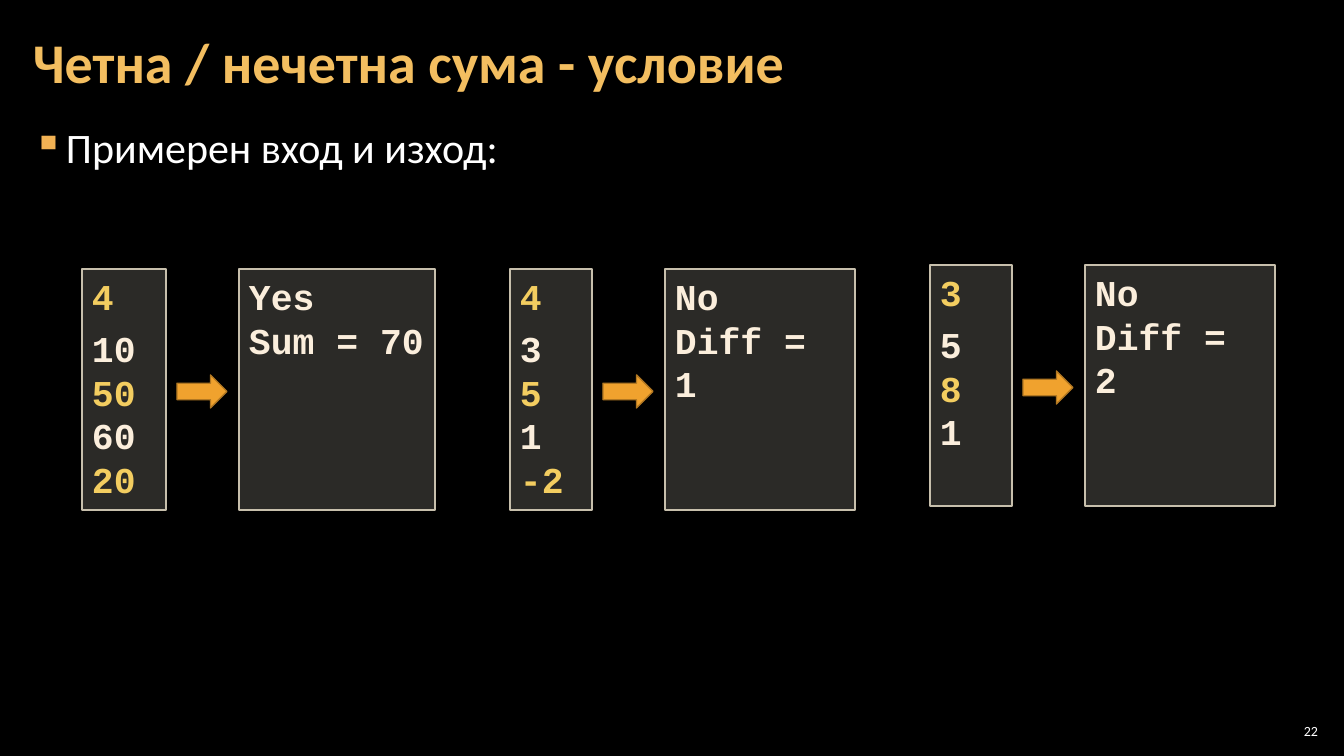
from lxml import etree
from pptx import Presentation
from pptx.dml.color import RGBColor
from pptx.enum.shapes import MSO_SHAPE
from pptx.enum.text import MSO_ANCHOR, PP_ALIGN
from pptx.oxml import parse_xml
from pptx.oxml.ns import nsdecls, qn
from pptx.util import Pt

RECTANGLE, RIGHT_ARROW = MSO_SHAPE.RECTANGLE, MSO_SHAPE.RIGHT_ARROW
TOP, MIDDLE = MSO_ANCHOR.TOP, MSO_ANCHOR.MIDDLE
LEFT, RIGHT = PP_ALIGN.LEFT, PP_ALIGN.RIGHT

BLACK = RGBColor(0x00, 0x00, 0x00)
WHITE = RGBColor(0xFF, 0xFF, 0xFF)
TITLE_GOLD = RGBColor(0xF3, 0xBE, 0x60)
BULLET_GOLD = RGBColor(0xF2, 0xB2, 0x54)
CODE_GOLD = RGBColor(0xF3, 0xCD, 0x60)
CODE_CREAM = RGBColor(0xFB, 0xEE, 0xDC)
BOX_FILL = RGBColor(0xD9, 0xD5, 0xC7)
BOX_LINE = RGBColor(0xC7, 0xBF, 0xAC)
ARROW_FILL = RGBColor(0xF0, 0xA2, 0x2E)
ARROW_LINE = RGBColor(0xB2, 0x78, 0x22)

# Content
TITLE = "Четна / нечетна сума - условие"
BULLET = "Примерен вход и изход:"
PAGE_NUMBER = "22"
EXAMPLES = [
    {"left": 82, "top": 269, "input_width": 84, "output_width": 196,
     "input": ["4", "10", "50", "60", "20"], "output": ["Yes", "Sum = 70"]},
    {"left": 510, "top": 269, "input_width": 82, "output_width": 190,
     "input": ["4", "3", "5", "1", "-2"], "output": ["No", "Diff = 1"]},
    {"left": 930, "top": 265, "input_width": 82, "output_width": 190,
     "input": ["3", "5", "8", "1"], "output": ["No", "Diff = 2"]},
]

# Layout in px
SLIDE_WIDTH, SLIDE_HEIGHT = 1344, 756
BOX_HEIGHT = 241
ARROW_WIDTH, ARROW_HEIGHT = 50, 33
ARROW_GAP, OUTPUT_GAP = 11, 73
EMU_PER_PX = 914400 / 100.8


def px(length):
    return round(length * EMU_PER_PX)


def write_text(shape, lines, colors, size, font="Calibri", bold=False,
               align=LEFT, anchor=TOP, insets=(10, 5), second_space=0,
               line_spacing=None):
    frame = shape.text_frame
    frame.word_wrap = True
    frame.vertical_anchor = anchor
    frame.margin_left = frame.margin_right = px(insets[0])
    frame.margin_top = frame.margin_bottom = px(insets[1])
    for index, line in enumerate(lines):
        paragraph = frame.add_paragraph() if index else frame.paragraphs[0]
        paragraph.alignment = align
        if line_spacing:
            paragraph.line_spacing = line_spacing
        if index == 1 and second_space:
            paragraph.space_before = Pt(second_space)
        run = paragraph.add_run()
        run.text = line
        run.font.name = font
        run.font.size = Pt(size)
        run.font.bold = bold
        run.font.color.rgb = colors[index % len(colors)]


def add_text_box(left, top, width, height, text, color, size, **text_format):
    box = slide.shapes.add_textbox(px(left), px(top), px(width), px(height))
    write_text(box, [text], [color], size, **text_format)
    return box


def add_bullet(paragraph, symbol, color, indent):
    properties = paragraph._p.get_or_add_pPr()
    properties.set("marL", str(px(indent)))
    properties.set("indent", str(-px(indent)))
    properties.append(parse_xml(
        f'<a:buClr {nsdecls("a")}><a:srgbClr val="{color}"/></a:buClr>'))
    properties.append(parse_xml(f'<a:buChar {nsdecls("a")} char="{symbol}"/>'))


def add_filled_shape(kind, left, top, width, height, fill, line, opacity=100):
    shape = slide.shapes.add_shape(kind, px(left), px(top), px(width), px(height))
    shape.shadow.inherit = False
    shape.fill.solid()
    shape.fill.fore_color.rgb = fill
    shape.line.color.rgb = line
    shape.line.width = Pt(1)
    if opacity < 100:
        color = shape._element.spPr.find(qn("a:solidFill"))[0]
        etree.SubElement(color, qn("a:alpha")).set("val", str(opacity * 1000))
    return shape


def add_code_box(left, top, width, lines, colors, second_space=0):
    box = add_filled_shape(RECTANGLE, left, top, width, BOX_HEIGHT,
                           BOX_FILL, BOX_LINE, opacity=20)
    write_text(box, lines, colors, 26, font="Courier New", bold=True,
               second_space=second_space)


presentation = Presentation()
presentation.slide_width = px(SLIDE_WIDTH)
presentation.slide_height = px(SLIDE_HEIGHT)
slide = presentation.slides.add_slide(presentation.slide_layouts[6])
slide.background.fill.solid()
slide.background.fill.fore_color.rgb = BLACK

# Page number, bullet and title
add_text_box(1275, 720, 47, 21, PAGE_NUMBER, WHITE, 10,
             align=RIGHT, anchor=MIDDLE, insets=(4, 4))
body = add_text_box(21, 118, 1301, 614, BULLET, WHITE, 30, insets=(12, 4))
add_bullet(body.text_frame.paragraphs[0], "▪", BULLET_GOLD, 33)
add_text_box(21, 4, 1055, 122, TITLE, TITLE_GOLD, 40, bold=True,
             anchor=MIDDLE, insets=(12, 4), line_spacing=0.9)

# Examples: input box, output box, arrow between them
for example in EXAMPLES:
    left, top = example["left"], example["top"]
    input_right = left + example["input_width"]
    add_code_box(left, top, example["input_width"], example["input"],
                 [CODE_GOLD, CODE_CREAM], second_space=6)
    add_code_box(input_right + OUTPUT_GAP, top, example["output_width"],
                 example["output"], [CODE_CREAM])
    add_filled_shape(RIGHT_ARROW, input_right + ARROW_GAP,
                     top + (BOX_HEIGHT - ARROW_HEIGHT) // 2 + 2,
                     ARROW_WIDTH, ARROW_HEIGHT, ARROW_FILL, ARROW_LINE)

presentation.save("out.pptx")
